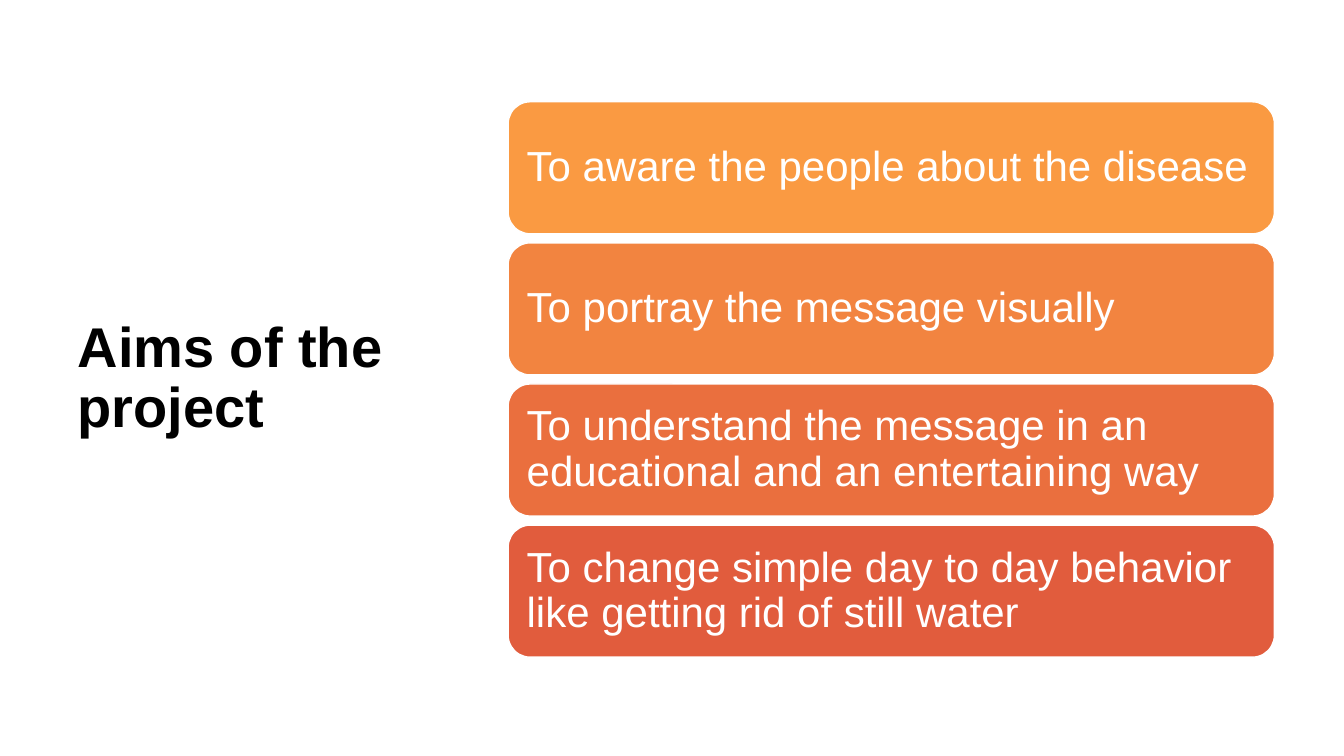
from dataclasses import dataclass

from pptx import Presentation
from pptx import util as u
from pptx.dml import color
from pptx.enum import shapes, text
from pptx.slide import Slide
from pptx.text.text import TextFrame


@dataclass(frozen=True)
class Theme:
    font: str = "Arial"
    title_size: int = 40
    aim_size: int = 30
    line_spacing: float = 0.9
    ink: str = "000000"
    paper: str = "FFFFFF"


@dataclass(frozen=True)
class Aim:
    wording: str
    fill: str


THEME = Theme()
AIMS = [
    Aim("To aware the people about the disease", "FA9A42"),
    Aim("To portray the message visually", "F28440"),
    Aim("To understand the message in an educational and an entertaining way", "EA6F3E"),
    Aim("To change simple day to day behavior like getting rid of still water", "E15C3D"),
]
AIM_LEFT, AIM_TOP, AIM_WIDTH, AIM_HEIGHT = 5.04, 1.01, 7.6, 1.31
AIM_PITCH = 1.4
AIM_INSET = 0.12


def rgb(code: str) -> color.RGBColor:
    return color.RGBColor.from_string(code)


def write(frame: TextFrame, wording: str, size: int, ink: str, bold: bool = False) -> None:
    frame.word_wrap = True
    frame.auto_size = text.MSO_AUTO_SIZE.NONE
    frame.vertical_anchor = text.MSO_ANCHOR.MIDDLE
    para = frame.paragraphs[0]
    para.alignment = text.PP_ALIGN.LEFT
    para.line_spacing = THEME.line_spacing
    span = para.add_run()
    span.text = wording
    span.font.name = THEME.font
    span.font.size = u.Pt(size)
    span.font.bold = bold
    span.font.color.rgb = rgb(ink)


def add_title(page: Slide, wording: str) -> None:
    title = page.shapes.title
    title.left, title.top = u.Inches(0.67), u.Inches(0.6)
    title.width, title.height = u.Inches(3.82), u.Inches(6.33)
    write(title.text_frame, wording, THEME.title_size, THEME.ink, bold=True)


def add_aim(page: Slide, aim: Aim, top: float) -> None:
    box = page.shapes.add_shape(
        shapes.MSO_SHAPE.ROUNDED_RECTANGLE,
        u.Inches(AIM_LEFT), u.Inches(top), u.Inches(AIM_WIDTH), u.Inches(AIM_HEIGHT),
    )
    box.shadow.inherit = False
    box.fill.solid()
    box.fill.fore_color.rgb = rgb(aim.fill)
    box.line.color.rgb = rgb(THEME.paper)
    box.line.width = u.Pt(1)
    frame = box.text_frame
    frame.margin_left = frame.margin_right = u.Inches(AIM_INSET)
    frame.margin_top = frame.margin_bottom = u.Inches(AIM_INSET)
    write(frame, aim.wording, THEME.aim_size, THEME.paper)


def main() -> None:
    deck = Presentation()
    deck.slide_width, deck.slide_height = u.Inches(13.33), u.Inches(7.5)
    page = deck.slides.add_slide(deck.slide_layouts.get_by_name("Title Only"))
    page.background.fill.solid()
    page.background.fill.fore_color.rgb = rgb(THEME.paper)
    add_title(page, "Aims of the project")
    for row, aim in enumerate(AIMS):
        add_aim(page, aim, AIM_TOP + row * AIM_PITCH)
    deck.save("out.pptx")


if __name__ == "__main__":
    main()
